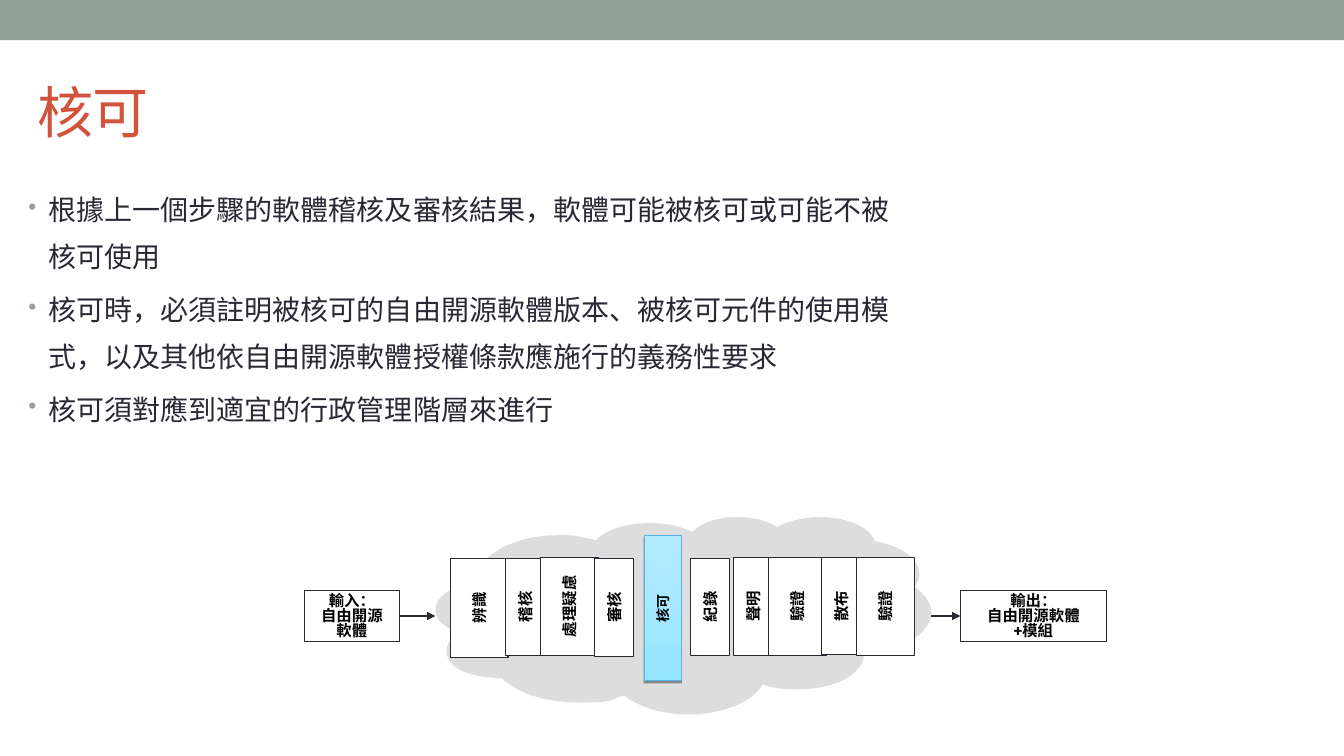
from lxml.etree import SubElement
from pptx import Presentation
from pptx.dml.color import RGBColor
from pptx.enum.shapes import MSO_CONNECTOR, MSO_SHAPE
from pptx.enum.text import MSO_ANCHOR, PP_ALIGN
from pptx.oxml import parse_xml
from pptx.oxml.ns import nsdecls, qn
from pptx.util import Pt

SAGE = RGBColor(0x93, 0xA2, 0x99)
RED = RGBColor(0xD2, 0x53, 0x3C)
INK = RGBColor(0x29, 0x29, 0x34)
BLACK = RGBColor(0, 0, 0)
WHITE = RGBColor(0xFF, 0xFF, 0xFF)
CLOUD_GREY = RGBColor(0xDD, 0xDD, 0xDD)
SKY = RGBColor(0x95, 0xE5, 0xFF)
PALE_SKY = RGBColor(0xB4, 0xEB, 0xFF)
BLUE = RGBColor(0x55, 0xB4, 0xE5)

BULLETS = [
    "根據上一個步驟的軟體稽核及審核結果，軟體可能被核可或可能不被核可使用",
    "核可時，必須註明被核可的自由開源軟體版本、被核可元件的使用模式，以及其他依自由開源軟體授權條款應施行的義務性要求",
    "核可須對應到適宜的行政管理階層來進行",
]

NARROW, WIDE = 28, 41.3
# label, left, top, width, height
STEPS = [
    ("辨識", 321.6, 398.9, WIDE, 70.6),
    ("稽核", 361.3, 398.6, NARROW, 69.8),
    ("處理疑慮", 386, 398.2, WIDE, 69.8),
    ("審核", 424.7, 398.9, NARROW, 69.8),
    ("紀錄", 493.2, 398.6, NARROW, 69.8),
    ("聲明", 524.3, 398.2, NARROW, 69.8),
    ("驗證", 548.8, 398.2, WIDE, 69.8),
    ("散布", 586.8, 398, NARROW, 69.8),
    ("驗證", 611.7, 398.2, WIDE, 69.8),
]

CLOUD_UNIT = 0.72  # points per cloud unit
CLOUD_START = (476, 578)
# two control points and an end point for each curve
CLOUD_CURVES = [
    (467, 554, 509, 531, 552, 531), (565, 530, 579, 533, 591, 536),
    (602, 525, 622, 519, 645, 519), (660, 519, 676, 522, 687, 528),
    (696, 518, 713, 513, 732, 513), (747, 513, 762, 517, 771, 523),
    (781, 517, 797, 513, 814, 513), (840, 513, 863, 523, 868, 537),
    (893, 541, 912, 554, 912, 569), (912, 574, 911, 578, 907, 582),
    (918, 590, 924, 599, 924, 608), (924, 628, 895, 646, 857, 649),
    (857, 669, 828, 684, 791, 684), (779, 684, 767, 683, 757, 679),
    (747, 696, 717, 709, 683, 709), (657, 709, 633, 701, 619, 690),
    (605, 694, 613, 697, 574, 697), (542, 697, 513, 688, 498, 673),
    (461, 672, 443, 661, 443, 646), (443, 639, 447, 633, 456, 627),
    (440, 623, 432, 614, 432, 605), (432, 591, 451, 579, 476, 578),
]


def curve_points(start, curves, steps=12):
    """Points along a chain of cubic Bézier curves."""
    points = []
    x0, y0 = start
    for x1, y1, x2, y2, x3, y3 in curves:
        for i in range(1, steps + 1):
            t = i / steps
            a, b, c, d = (1 - t) ** 3, 3 * t * (1 - t) ** 2, 3 * t * t * (1 - t), t ** 3
            points.append((a * x0 + b * x1 + c * x2 + d * x3,
                           a * y0 + b * y1 + c * y2 + d * y3))
        x0, y0 = x3, y3
    return points


class Deck:
    heading_font = "Times New Roman"
    label_font = "Roboto"
    line_width = Pt(0.75)

    def __init__(self):
        self.prs = Presentation()
        self.prs.slide_width, self.prs.slide_height = Pt(960), Pt(540)
        self.s = self.prs.slides.add_slide(self.prs.slide_layouts[6])

    def run(self, p, text, size, font, color, bold=False):
        r = p.add_run()
        r.text = text
        r.font.size, r.font.name, r.font.bold = Pt(size), font, bold
        r.font.color.rgb = color

    def rect(self, x, y, w, h, fill=WHITE, line=INK):
        sp = self.s.shapes.add_shape(MSO_SHAPE.RECTANGLE, Pt(x), Pt(y), Pt(w), Pt(h))
        sp.shadow.inherit = False
        if fill is not None:
            sp.fill.solid()
            sp.fill.fore_color.rgb = fill
        if line is None:
            sp.line.fill.background()
        else:
            sp.line.color.rgb = line
            sp.line.width = self.line_width
        return sp

    def textbox(self, x, y, w, h, anchor=MSO_ANCHOR.TOP):
        sp = self.s.shapes.add_textbox(Pt(x), Pt(y), Pt(w), Pt(h))
        sp.text_frame.word_wrap = True
        sp.text_frame.vertical_anchor = anchor
        return sp

    def centred(self, sp, lines, size, anchor=MSO_ANCHOR.MIDDLE, spacing=None):
        tf = sp.text_frame
        tf.vertical_anchor = anchor
        for i, text in enumerate(lines):
            p = tf.add_paragraph() if i else tf.paragraphs[0]
            p.alignment = PP_ALIGN.CENTER
            if spacing:
                p.line_spacing = Pt(spacing)
            self.run(p, text, size, self.label_font, BLACK, True)

    def title(self, text):
        sp = self.textbox(19.4, 40.3, 864, 77.8, MSO_ANCHOR.MIDDLE)
        self.run(sp.text_frame.paragraphs[0], text, 40, self.heading_font, RED)

    def bullets(self, items):
        tf = self.textbox(0, 113.8, 666, 215.3).text_frame
        tf.margin_left, tf.margin_top = Pt(20.2), Pt(14.4)
        tf.margin_right, tf.margin_bottom = Pt(14.4), Pt(17.3)
        for i, text in enumerate(items):
            p = tf.add_paragraph() if i else tf.paragraphs[0]
            pPr = p._p.get_or_add_pPr()
            pPr.set("marL", str(Pt(14.4)))
            pPr.set("indent", str(-Pt(14.4)))
            color = SubElement(pPr, qn("a:buClr"))
            SubElement(color, qn("a:srgbClr")).set("val", str(SAGE))
            SubElement(pPr, qn("a:buSzPct")).set("val", "85000")
            SubElement(pPr, qn("a:buChar")).set("char", "•")
            p.line_spacing = 1.4
            if i:
                p.space_before = Pt(4)
            self.run(p, text, 20, self.heading_font, INK)

    def cloud(self):
        unit = Pt(CLOUD_UNIT)
        x, y = CLOUD_START
        outline = self.s.shapes.build_freeform(x * unit, y * unit)
        outline.add_line_segments(
            [(px * unit, py * unit) for px, py in curve_points(CLOUD_START, CLOUD_CURVES)])
        sp = outline.convert_to_shape()
        sp.shadow.inherit = False
        sp.fill.solid()
        sp.fill.fore_color.rgb = CLOUD_GREY
        sp.line.fill.background()

    def step(self, label, x, y, w, h):
        """Upright box whose label reads upwards."""
        sp = self.rect(x + (w - h) / 2, y + (h - w) / 2, h, w)
        sp.rotation = 270
        self.centred(sp, [label], 11)

    def current_step(self, label, x, y, w, h):
        sp = self.rect(x, y, w, h, fill=None, line=BLUE)
        sp.fill.gradient()
        sp.fill.gradient_angle = 90
        for stop, color in zip(sp.fill.gradient_stops, (SKY, PALE_SKY)):
            stop.color.rgb = color
        sp._element.spPr.find(qn("a:effectLst")).append(parse_xml(
            f'<a:outerShdw {nsdecls("a")} blurRad="0" dist="{Pt(1.6)}" dir="5400000" rotWithShape="0">'
            '<a:srgbClr val="000000"><a:alpha val="38000"/></a:srgbClr></a:outerShdw>'))
        text = self.textbox(x + (w - h) / 2, y + (h - w) / 2, h, w)
        text.rotation = 270
        self.centred(text, [label], 10)

    def endpoint(self, lines, x, w):
        sp = self.rect(x, 421.5, w, 37)
        self.centred(sp, lines, 11, MSO_ANCHOR.TOP, 10.5)
        return sp

    def arrow(self, x1, x2, y):
        c = self.s.shapes.add_connector(MSO_CONNECTOR.STRAIGHT, Pt(x1), Pt(y), Pt(x2), Pt(y))
        c.line.color.rgb = INK
        c.line.width = self.line_width
        SubElement(c.line._get_or_add_ln(), qn("a:tailEnd")).set("type", "triangle")
        SubElement(c._element.spPr, qn("a:effectLst"))
        return c


def main():
    deck = Deck()
    deck.rect(0, 0, 960, 28.8, SAGE, None)
    deck.bullets(BULLETS)
    deck.cloud()
    deck.current_step("核可", 460.1, 382.5, 26.6, 103.7)
    for step in STEPS:
        deck.step(*step)
    deck.title("核可")
    source = deck.endpoint(["輸入：", "自由開源軟體"], 217.4, 68)
    result = deck.endpoint(["輸出：", "自由開源軟體", "+模組"], 686, 104.4)
    deck.arrow(285.4, 311, 440).begin_connect(source, 3)
    deck.arrow(665.3, 686, 440).end_connect(result, 1)
    deck.prs.save("out.pptx")


if __name__ == "__main__":
    main()
